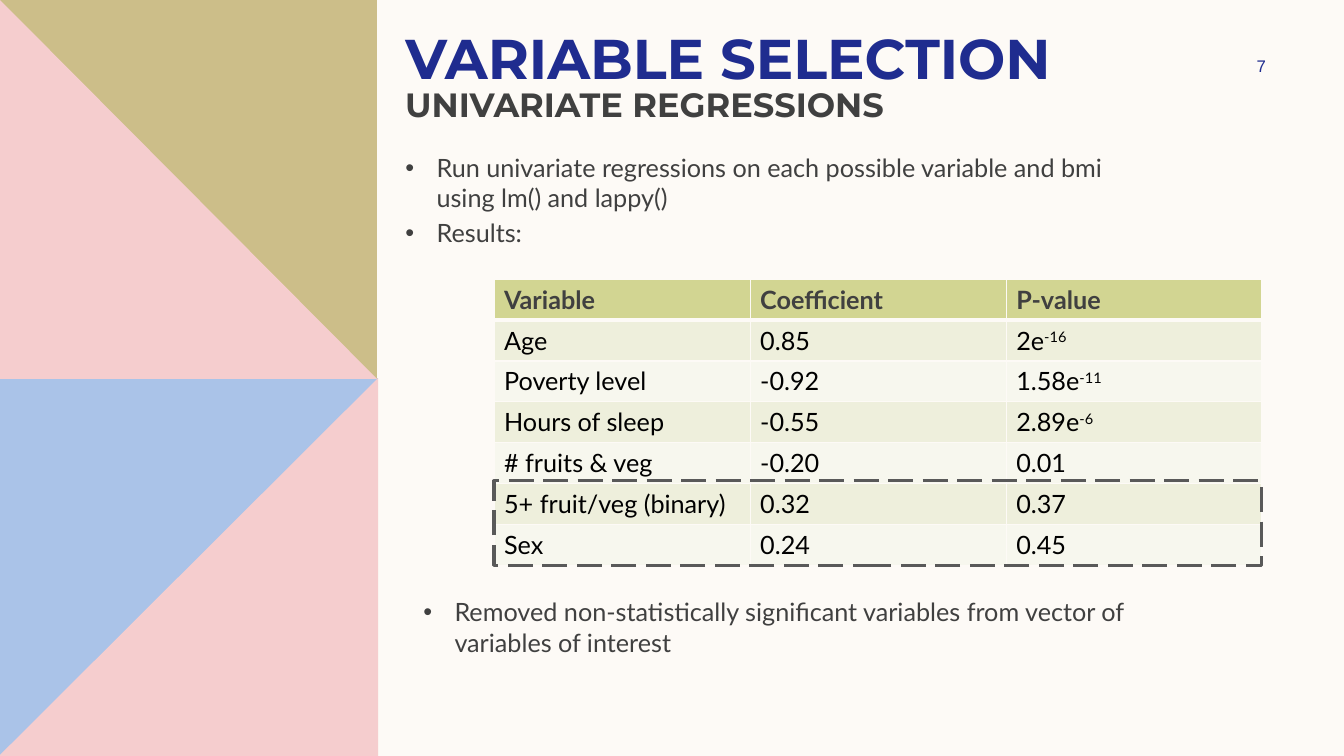
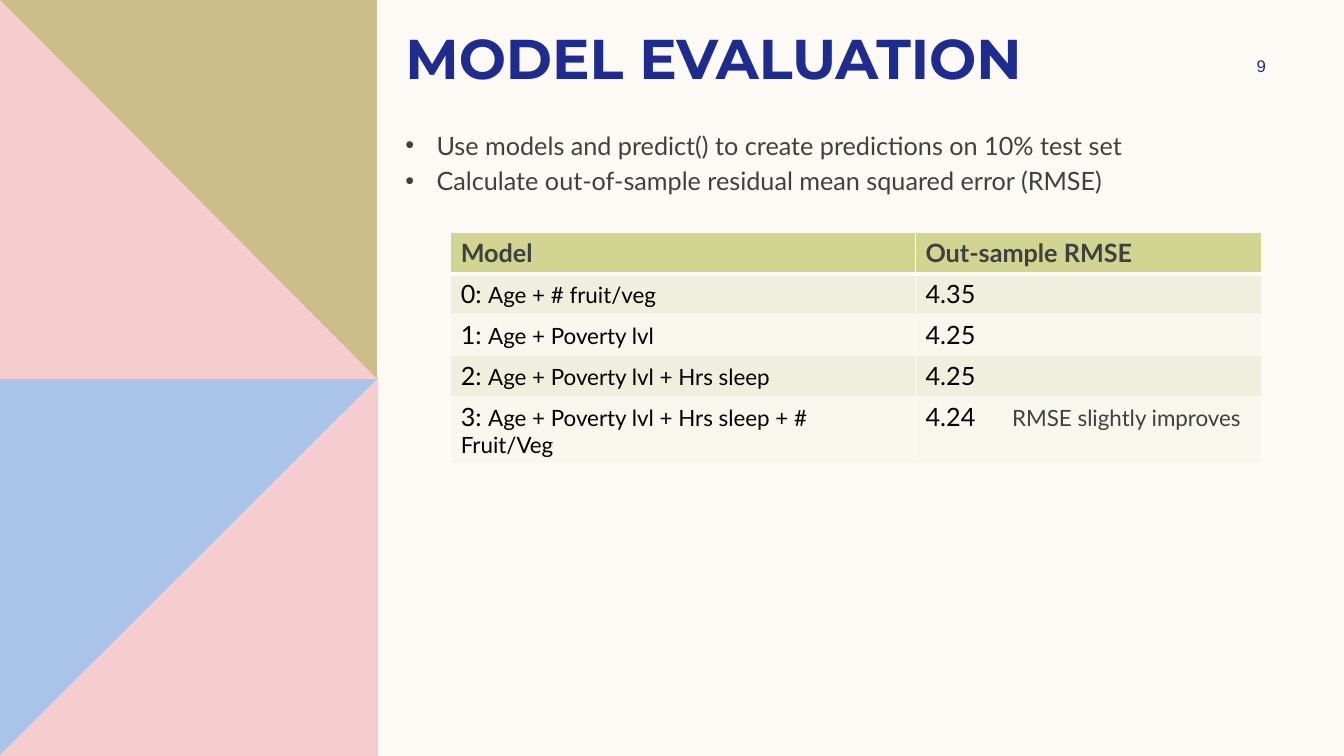
import pptx
import pptx.dml.color
import pptx.enum.dml
import pptx.enum.shapes
import pptx.enum.text
import pptx.oxml
import pptx.oxml.ns
import pptx.util
from lxml import etree

PX = 9144  # EMU per px, 100 px to the inch
COLOURS = {
    "paper": "FDFAF6", "navy": "1F2C8F", "text": "404040", "black": "000000",
    "dash": "595959", "blue": "AAC3E8", "pink": "F5CDCE", "khaki": "CCBE89",
    "header": "D2D592", "odd row": "EEEFDC", "even row": "F7F7EE",
}
RGB = {name: pptx.dml.color.RGBColor.from_string(code) for name, code in COLOURS.items()}
TOP = pptx.enum.text.MSO_ANCHOR.TOP
MIDDLE = pptx.enum.text.MSO_ANCHOR.MIDDLE
LEFT = pptx.enum.text.PP_ALIGN.LEFT
CENTER = pptx.enum.text.PP_ALIGN.CENTER


def style(frame, font, size, colour, bold=False, bulleted=False, align=LEFT, anchor=TOP):
    """Format every run of a text frame and, if asked, make its paragraphs bullets."""
    frame.word_wrap = True
    frame.auto_size = pptx.enum.text.MSO_AUTO_SIZE.NONE
    frame.vertical_anchor = anchor
    for paragraph in frame.paragraphs:
        paragraph.alignment = align
        for run in paragraph.runs:
            run.font.name = font
            run.font.size = pptx.util.Pt(size)
            run.font.bold = bold
            run.font.color.rgb = RGB[colour]
        if bulleted:
            paragraph.space_before = pptx.util.Pt(3.6)
            properties = paragraph._p.get_or_add_pPr()
            properties.set("marL", str(31 * PX))
            properties.set("indent", str(-31 * PX))
            etree.SubElement(properties, pptx.oxml.ns.qn("a:buFont")).set("typeface", "Arial")
            etree.SubElement(properties, pptx.oxml.ns.qn("a:buChar")).set("char", "•")


def add_text(slide, text, left, top, width, height, **look):
    box = slide.shapes.add_textbox(left * PX, top * PX, width * PX, height * PX)
    box.text_frame.text = text
    style(box.text_frame, **look)


# In a table cell, "|" separates the lead from a tail that takes the "tail" run attribute.
SLIDES = [
    {
        "title": "VARIABLE SELECTION",
        "number": "7",
        "bullets": [
            "Run univariate regressions on each possible variable and bmi using lm() and lappy()",
            "Results:",
        ],
        "bullets top": 146,
        "table box": (490, 277, 761, 284),
        "columns": (254, 254, 253),
        "tail": ("baseline", "30000"),
        "rows": [
            ("Variable", "Coefficient", "P-value"),
            ("Age", "0.85", "2e|-16"),
            ("Poverty level", "-0.92", "1.58e|-11"),
            ("Hours of sleep", "-0.55", "2.89e|-6"),
            ("# fruits & veg", "-0.20", "0.01"),
            ("5+ fruit/veg (binary)", "0.32", "0.37"),
            ("Sex", "0.24", "0.45"),
        ],
    },
    {
        "title": "MODEL EVALUATION",
        "number": "9",
        "bullets": [
            "Use models and predict() to create predictions on 10% test set",
            "Calculate out-of-sample residual mean squared error (RMSE)",
        ],
        "bullets top": 124,
        "table box": (447, 231, 804, 203),
        "columns": (461, 343),
        "tail": ("sz", "1600"),
        "rows": [
            ("Model", "Out-sample RMSE"),
            ("0: |Age + # fruit/veg", "4.35"),
            ("1: |Age + Poverty lvl", "4.25"),
            ("2: |Age + Poverty lvl + Hrs sleep", "4.25"),
            ("3: |Age + Poverty lvl + Hrs sleep + # Fruit/Veg", "4.24"),
        ],
    },
]
SIDE_BAND = [
    ("blue", [(0, 375), (375, 375), (375, 750), (0, 750)]),
    ("pink", [(375, 375), (375, 750), (0, 750), (0, 749)]),
    ("khaki", [(0, 0), (374, 0), (374, 376), (0, 376)]),
    ("pink", [(0, 0), (374, 376), (0, 376)]),
]

deck = pptx.Presentation()
deck.slide_width = 1333 * PX
deck.slide_height = 750 * PX

layout = deck.slide_layouts[1]
layout.background.fill.solid()
layout.background.fill.fore_color.rgb = RGB["paper"]
layout_title = layout.placeholders[0]
layout_title.left, layout_title.top = 392 * PX, 18 * PX
layout_title.width, layout_title.height = 740 * PX, 84 * PX

pages = [deck.slides.add_slide(layout) for content in SLIDES]

# The side band is drawn once and moved behind the layout's placeholders.
for depth, (colour, corners) in enumerate(SIDE_BAND):
    builder = pages[0].shapes.build_freeform(*corners[0], scale=PX)
    builder.add_line_segments(corners[1:], close=True)
    facet = builder.convert_to_shape()
    facet.shadow.inherit = False
    facet.fill.solid()
    facet.fill.fore_color.rgb = RGB[colour]
    facet.line.fill.background()
    layout.shapes.element.insert(2 + depth, facet._element)

for page, content in zip(pages, SLIDES):
    title, bullets = page.placeholders
    title.text_frame.text = content["title"]
    style(title.text_frame, "Montserrat", 40, "navy", bold=True)

    bullets.left, bullets.top = 392 * PX, content["bullets top"] * PX
    bullets.width, bullets.height = 740 * PX, 457 * PX
    bullets.text_frame.text = "\n".join(content["bullets"])
    style(bullets.text_frame, "Lato", 18, "text", bulleted=True)

    add_text(page, content["number"], 1197, 50, 108, 30,
             font="Arial", size=12, colour="navy", align=CENTER, anchor=MIDDLE)

    rows = content["rows"]
    box = [length * PX for length in content["table box"]]
    results = page.shapes.add_table(len(rows), len(rows[0]), *box).table
    results.horz_banding = False
    for column, width in zip(results.columns, content["columns"]):
        column.width = width * PX

    for row_index, row in enumerate(rows):
        is_header = row_index == 0
        row_fill = "header" if is_header else ("odd row" if row_index % 2 else "even row")
        for column_index, text in enumerate(row):
            cell = results.cell(row_index, column_index)
            lead, _, tail = text.partition("|")
            cell.text_frame.text = lead
            if tail:
                cell.text_frame.paragraphs[0].add_run().text = tail
            style(cell.text_frame, "Lato", 18, "text" if is_header else "black", bold=is_header)
            for tail_run in cell.text_frame.paragraphs[0].runs[1:]:
                tail_run._r.get_or_add_rPr().set(*content["tail"])

            cell_properties = cell._tc.get_or_add_tcPr()
            for side in "LRTB":
                under_header = (row_index, side) in [(0, "B"), (1, "T")]
                cell_properties.append(pptx.oxml.parse_xml(
                    f'<a:ln{side} {pptx.oxml.ns.nsdecls("a")} w="{38100 if under_header else 12700}">'
                    f'<a:solidFill><a:srgbClr val="{COLOURS["paper"]}"/></a:solidFill></a:ln{side}>'))
            cell.fill.solid()
            cell.fill.fore_color.rgb = RGB[row_fill]

selection, evaluation = pages

add_text(selection, "UNIVARIATE REGRESSIONS", 392, 78, 740, 84,
         font="Montserrat", size=24, colour="text", bold=True)

removed_rows = selection.shapes.add_shape(
    pptx.enum.shapes.MSO_SHAPE.RECTANGLE, 490 * PX, 477 * PX, 761 * PX, 84 * PX)
removed_rows.shadow.inherit = False
removed_rows.fill.background()
removed_rows.line.color.rgb = RGB["dash"]
removed_rows.line.width = pptx.util.Pt(2.25)
removed_rows.line.dash_style = pptx.enum.dml.MSO_LINE.LONG_DASH

add_text(selection,
         "Removed non-statistically significant variables from vector of variables of interest",
         410, 587, 740, 100, font="Lato", size=18, colour="text", bulleted=True)

add_text(evaluation, "RMSE slightly improves", 994, 396, 311, 37,
         font="Lato", size=16, colour="text")

deck.save("out.pptx")
